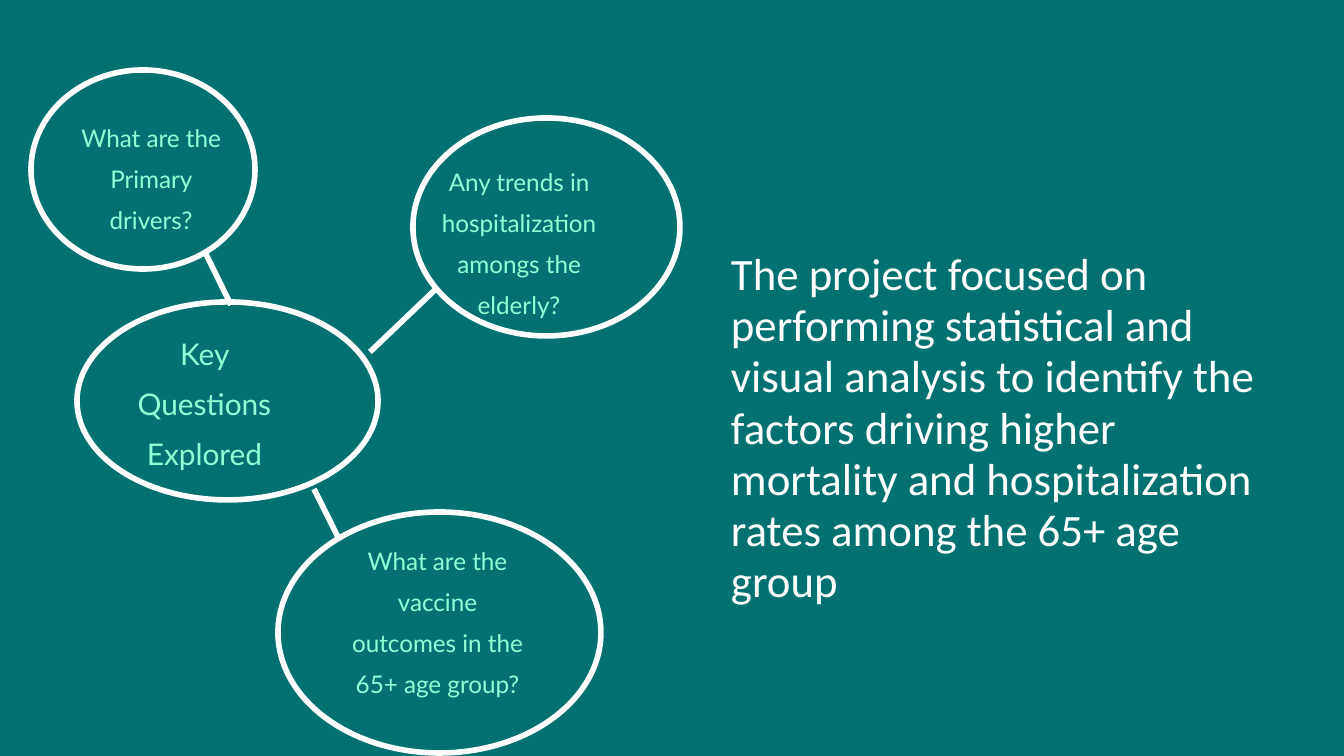
from pptx import Presentation
from pptx.dml.color import RGBColor
from pptx.enum.shapes import MSO_CONNECTOR, MSO_SHAPE
from pptx.enum.text import PP_ALIGN
from pptx.oxml.ns import qn
from pptx.util import Pt
from lxml import etree

PX = 914400 / 134.4
OVAL = MSO_SHAPE.OVAL
STRAIGHT = MSO_CONNECTOR.STRAIGHT
LEFT, CENTER = PP_ALIGN.LEFT, PP_ALIGN.CENTER

TEAL = RGBColor(0x03, 0x71, 0x71)
MINT = RGBColor(0x92, 0xFF, 0xD5)
WHITE = RGBColor(0xFF, 0xFF, 0xFF)

HUB = {"name": "Lato", "size": Pt(16), "color": MINT, "align": CENTER, "spacing": 1.4}
QUESTION = {**HUB, "size": Pt(13)}
BODY = {"name": "Calibri", "size": Pt(24), "color": WHITE, "align": LEFT, "spacing": 0.95}


def emu(*lengths):
    """Turn px lengths into EMU."""
    return [round(n * PX) for n in lengths]


prs = Presentation()
prs.slide_width, prs.slide_height = emu(1344, 756)
s = prs.slides.add_slide(prs.slide_layouts[6])
s.background.fill.solid()
s.background.fill.fore_color.rgb = TEAL

bubbles = [
    (77, 302, 301, 198),
    (31, 70, 224, 199),
    (413, 118, 267, 218),
    (278, 512, 323, 241),
]
for box in bubbles:
    sp = s.shapes.add_shape(OVAL, *emu(*box))
    sp.shadow.inherit = False
    sp.fill.background()
    sp.line.color.rgb = WHITE
    sp.line.width = Pt(3)

links = [
    (231, 305, 204, 250),
    (339, 539, 314, 489),
    (437, 288, 370, 352),
]
for ends in links:
    cxn = s.shapes.add_connector(STRAIGHT, *emu(*ends))
    cxn.line.color.rgb = WHITE
    cxn.line.width = Pt(3)
    etree.SubElement(cxn._element.spPr, qn("a:effectLst"))

texts = [
    ((132, 321, 145, 153), HUB, "Key Questions Explored"),
    ((77, 112, 148, 124), QUESTION, "What are the Primary drivers?"),
    ((345, 535, 185, 165), QUESTION, "What are the vaccine outcomes in the 65+ age group?"),
    ((437, 156, 164, 165), QUESTION, "Any trends in hospitalization amongs the elderly?"),
    ((731, 250, 535, 362), BODY,
     "The project focused on performing statistical and visual analysis to identify "
     "the factors driving higher mortality and hospitalization rates among the 65+ age group"),
]
for box, style, text in texts:
    tf = s.shapes.add_textbox(*emu(*box)).text_frame
    tf.word_wrap = True
    for side in ("left", "top", "right", "bottom"):
        setattr(tf, f"margin_{side}", 0)
    p = tf.paragraphs[0]
    p.alignment = style["align"]
    p.line_spacing = style["spacing"]
    r = p.add_run()
    r.text = text
    for key in ("name", "size"):
        setattr(r.font, key, style[key])
    r.font.color.rgb = style["color"]

prs.save("out.pptx")
